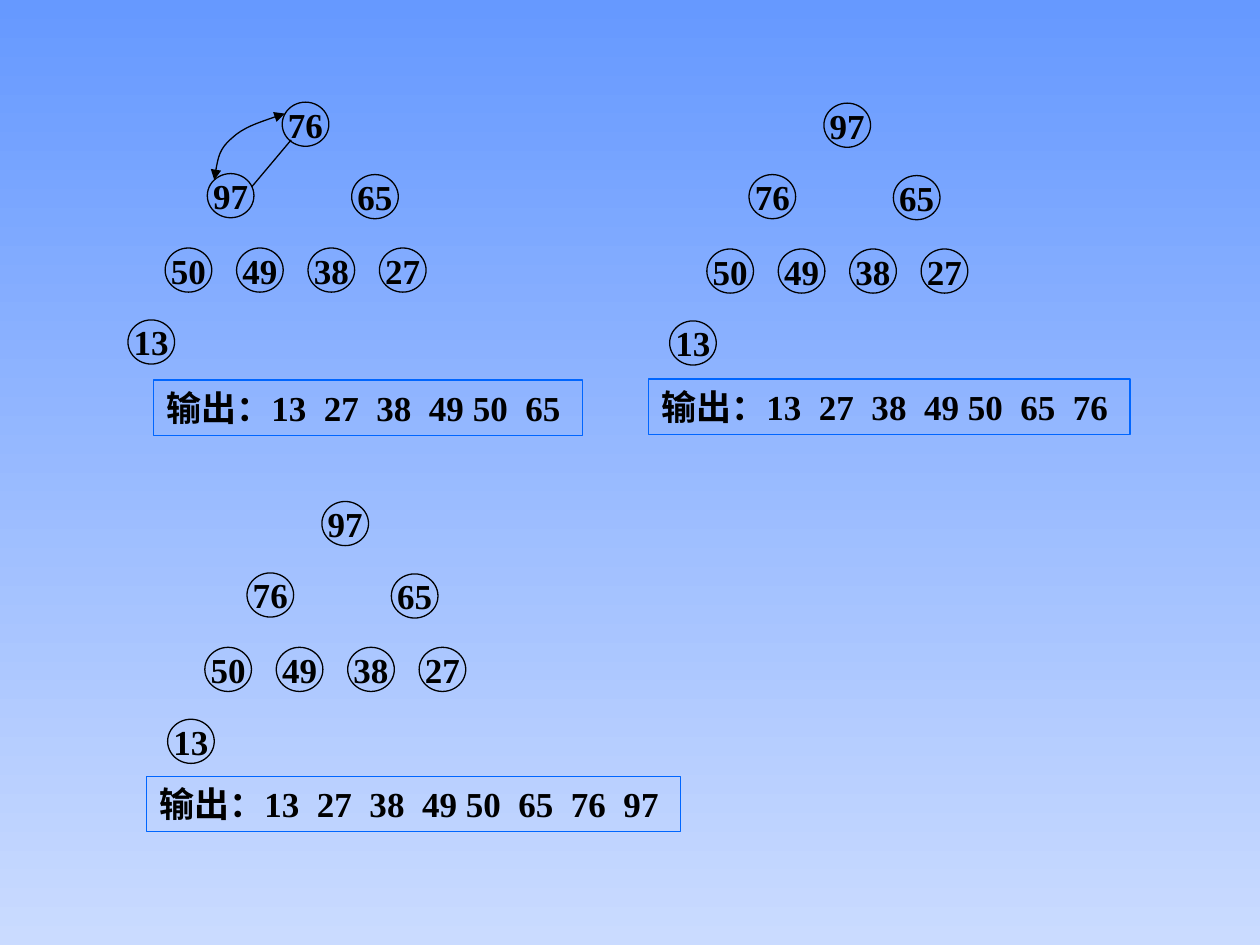
from lxml import etree
from pptx import Presentation
from pptx import util as u
from pptx.dml.color import RGBColor
from pptx.enum import shapes, text
from pptx.oxml import ns

BLACK = RGBColor(0x00, 0x00, 0x00)
BOX_BLUE = RGBColor(0x00, 0x66, 0xFF)
SKY_TOP = RGBColor(0x66, 0x99, 0xFF)
SKY_BOTTOM = RGBColor(0xCA, 0xDB, 0xFF)
FONT = "Times New Roman"

# Content: heap in level order, root position, output text and its box (cm)
STEPS = [
    {"heap": [76, 97, 65, 50, 49, 38, 27, 13], "root": (5.69, 2.06),
     "output": "输出：13  27  38  49 50  65", "box": (3.1, 7.66, 8.64)},
    {"heap": [97, 76, 65, 50, 49, 38, 27, 13], "root": (16.61, 2.08),
     "output": "输出：13  27  38  49 50  65  76", "box": (13.08, 7.64, 9.7)},
    {"heap": [97, 76, 65, 50, 49, 38, 27, 13], "root": (6.49, 10.11),
     "output": "输出：13  27  38  49 50  65  76  97", "box": (2.96, 15.65, 10.76)},
]
COMPARED_EDGE = [(5.87, 2.82), (5.08, 3.76)]
# Swap arrow: start, then two control points and an end for each curve
SWAP_CURVE = [(5.74, 2.29),
              (5.31, 2.44), (4.9, 2.57), (4.67, 2.79),
              (4.42, 3.0), (4.37, 3.3), (4.32, 3.63)]

# Node offsets from the root, in level order (cm)
NODE_SIZE = (0.94, 0.89)
BOX_HEIGHT = 1.12
BOX_RIGHT_MARGIN = 0.1  # leaves spare room so the output stays on one line
THIRD_ROW = [(-2.36 + 1.44 * i, 2.94) for i in range(4)]
OFFSETS = [(0, 0), (-1.51, 1.44), (1.4, 1.46), *THIRD_ROW, (-3.11, 4.39)]


def outline(shape, color):
    shape.line.color.rgb = color
    shape.line.width = u.Pt(0.75)


def add_label(group, kind, place, label, color, align, anchor):
    shape = group.shapes.add_shape(kind, *(u.Cm(v) for v in place))
    shape.shadow.inherit = False
    shape.fill.background()
    outline(shape, color)
    frame = shape.text_frame
    frame.word_wrap = False
    frame.vertical_anchor = anchor
    paragraph = frame.paragraphs[0]
    paragraph.text = label
    paragraph.alignment = align
    font = paragraph.font
    font.name, font.size, font.bold = FONT, u.Pt(20), True
    font.color.rgb = BLACK
    return shape


def add_step(slide, step):
    group = slide.shapes.add_group_shape()
    left, top = step["root"]
    for key, (dx, dy) in zip(step["heap"], OFFSETS):
        add_label(group, shapes.MSO_SHAPE.OVAL, (left + dx, top + dy, *NODE_SIZE),
                  str(key), BLACK, text.PP_ALIGN.CENTER, text.MSO_ANCHOR.MIDDLE)
    output = add_label(group, shapes.MSO_SHAPE.RECTANGLE, (*step["box"], BOX_HEIGHT),
                       step["output"], BOX_BLUE, text.PP_ALIGN.LEFT, text.MSO_ANCHOR.TOP)
    output.text_frame.auto_size = text.MSO_AUTO_SIZE.SHAPE_TO_FIT_TEXT
    output.text_frame.margin_right = u.Cm(BOX_RIGHT_MARGIN)
    return group


def add_swap_arrow(slide):
    points = [(u.Cm(x), u.Cm(y)) for x, y in SWAP_CURVE]
    builder = slide.shapes.build_freeform(*points[0])
    builder.add_line_segments(points[1:], close=False)
    arrow = builder.convert_to_shape()
    arrow.shadow.inherit = False
    arrow.fill.background()
    outline(arrow, BLACK)
    # Turn each three line points into one Bezier curve
    segments = list(arrow._element.iter(ns.qn("a:lnTo")))
    outline_element = segments[0].getparent()
    for i, segment in enumerate(segments):
        if i % 3 == 0:
            curve = etree.SubElement(outline_element, ns.qn("a:cubicBezTo"))
        curve.append(segment[0])
        outline_element.remove(segment)
    # Arrowheads at both ends
    line = arrow._element.spPr.find(ns.qn("a:ln"))
    for end in ("a:headEnd", "a:tailEnd"):
        etree.SubElement(line, ns.qn(end), type="triangle")


def main():
    prs = Presentation()
    prs.slide_width, prs.slide_height = u.Cm(25.4), u.Cm(19.05)
    slide = prs.slides.add_slide(prs.slide_layouts[6])

    # Background
    sky = slide.background.fill
    sky.gradient()
    sky.gradient_angle = 270
    for stop, color, position in zip(sky.gradient_stops, (SKY_TOP, SKY_BOTTOM), (0, 1)):
        stop.color.rgb = color
        stop.position = position

    # Heaps with their output
    groups = [add_step(slide, step) for step in STEPS]

    # Swap in the first heap
    ends = [u.Cm(v) for point in COMPARED_EDGE for v in point]
    edge = groups[0].shapes.add_connector(shapes.MSO_CONNECTOR.STRAIGHT, *ends)
    outline(edge, BLACK)
    etree.SubElement(edge._element.spPr, ns.qn("a:effectLst"))
    add_swap_arrow(slide)

    prs.save("out.pptx")


if __name__ == "__main__":
    main()
